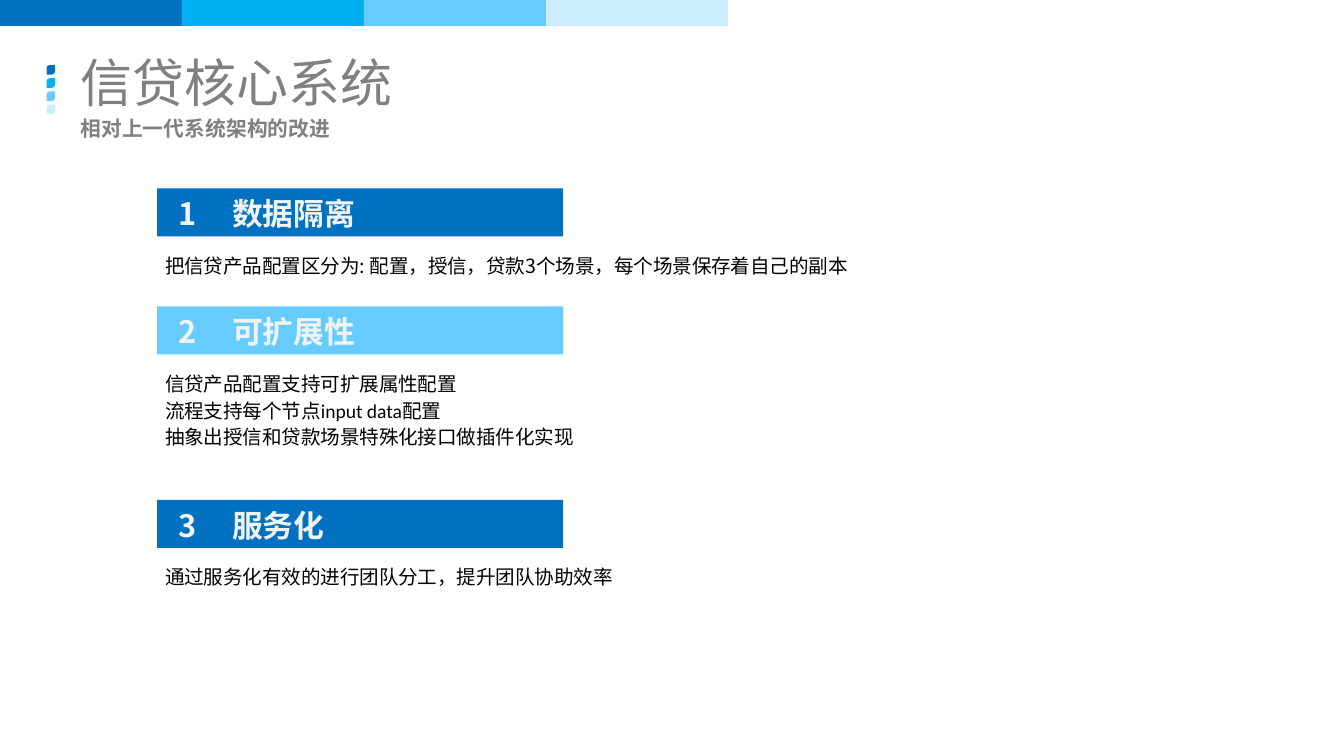
from lxml import etree
from pptx import Presentation
from pptx.dml.color import RGBColor
from pptx.enum.shapes import MSO_SHAPE
from pptx.enum.text import MSO_ANCHOR, MSO_AUTO_SIZE, PP_ALIGN
from pptx.oxml.ns import qn
from pptx.util import Cm, Pt

RECTANGLE = MSO_SHAPE.RECTANGLE
LEAF = MSO_SHAPE.ROUND_2_DIAG_RECTANGLE
TOP = MSO_ANCHOR.TOP
MIDDLE = MSO_ANCHOR.MIDDLE
LEFT = PP_ALIGN.LEFT
NO_FIT = MSO_AUTO_SIZE.NONE

CJK_FONT = "Noto Sans CJK SC"
LATIN_FONT = "Calibri"
BLUES = ["0070C0", "00B0F0", "66CCFF", "CCECFF"]
GREY = "808080"

SECTIONS = [
    (3.56, BLUES[0], "数据隔离", 17.17, CJK_FONT,
     ["把信贷产品配置区分为: 配置，授信，贷款3个场景，每个场景保存着自己的副本"]),
    (5.79, BLUES[2], "可扩展性", 14.2, LATIN_FONT,
     ["信贷产品配置支持可扩展属性配置",
      "流程支持每个节点input data配置",
      "抽象出授信和贷款场景特殊化接口做插件化实现"]),
    (9.45, BLUES[0], "服务化", 13.84, LATIN_FONT,
     ["通过服务化有效的进行团队分工，提升团队协助效率"]),
]


def color(value):
    return RGBColor.from_string(value)


def add_block(page, kind, left, top, width, height, fill):
    block = page.shapes.add_shape(kind, Cm(left), Cm(top), Cm(width), Cm(height))
    block.shadow.inherit = False
    block.fill.solid()
    block.fill.fore_color.rgb = color(fill)
    block.line.fill.background()
    return block


def style_paragraph(para, size, fill, bold=False, font=CJK_FONT):
    para.alignment = LEFT
    para.font.size = Pt(size)
    para.font.bold = bold
    para.font.color.rgb = color(fill)
    para.font.name = font
    defaults = para._p.pPr.find(qn("a:defRPr"))
    etree.SubElement(defaults, qn("a:ea")).set("typeface", CJK_FONT)


def fill_text(box, lines, size, fill, bold=False, font=CJK_FONT, anchor=TOP):
    frame = box.text_frame
    frame.word_wrap = True
    frame.auto_size = NO_FIT
    frame.vertical_anchor = anchor
    frame.text = "\n".join(lines)
    for para in frame.paragraphs:
        style_paragraph(para, size, fill, bold, font)
    return frame.paragraphs


def add_text(page, left, top, width, height, lines, size, fill, **style):
    box = page.shapes.add_textbox(Cm(left), Cm(top), Cm(width), Cm(height))
    return fill_text(box, lines, size, fill, **style)


def add_decoration(page):
    for index, blue in enumerate(BLUES):
        add_block(page, RECTANGLE, index * 3.44, 0, 3.44, 0.49, blue)
        leaf = add_block(page, LEAF, 0.88, 1.23 + index * 0.25, 0.16, 0.18, blue)
        leaf.adjustments[0] = 0.4


def set_title(page, text):
    title = page.shapes.title
    title.left, title.top = Cm(1.27), Cm(1.04)
    title.width, title.height = Cm(22.86), Cm(1.02)
    fill_text(title, [text], 27.8, GREY, anchor=MIDDLE)


def add_section(page, number, top, blue, heading, width, font, lines):
    add_block(page, RECTANGLE, 2.97, top, 7.67, 0.91, blue)
    para = add_text(page, 3.12, top, 6, 0.97, [f"{number}\t{heading}"],
                    16.5, "F2F2F2", bold=True)[0]
    para._p.pPr.set("marL", str(Cm(1.02)))
    para._p.pPr.set("indent", str(-Cm(1.02)))
    height = 0.24 + 0.52 * len(lines)
    for para in add_text(page, 2.87, top + 1.05, width, height, lines,
                         10.5, "000000", font=font):
        para.line_spacing = 1.14


def main():
    deck = Presentation()
    deck.slide_width, deck.slide_height = Cm(25.4), Cm(14.29)
    page = deck.slides.add_slide(deck.slide_layouts[5])
    add_decoration(page)
    set_title(page, "信贷核心系统")
    subtitle = add_text(page, 1.27, 2.06, 22.86, 0.84,
                        ["相对上一代系统架构的改进"], 11.1, GREY, bold=True)
    subtitle[0].space_before = Pt(2.2)
    for number, section in enumerate(SECTIONS, 1):
        add_section(page, number, *section)
    deck.save("out.pptx")


if __name__ == "__main__":
    main()
